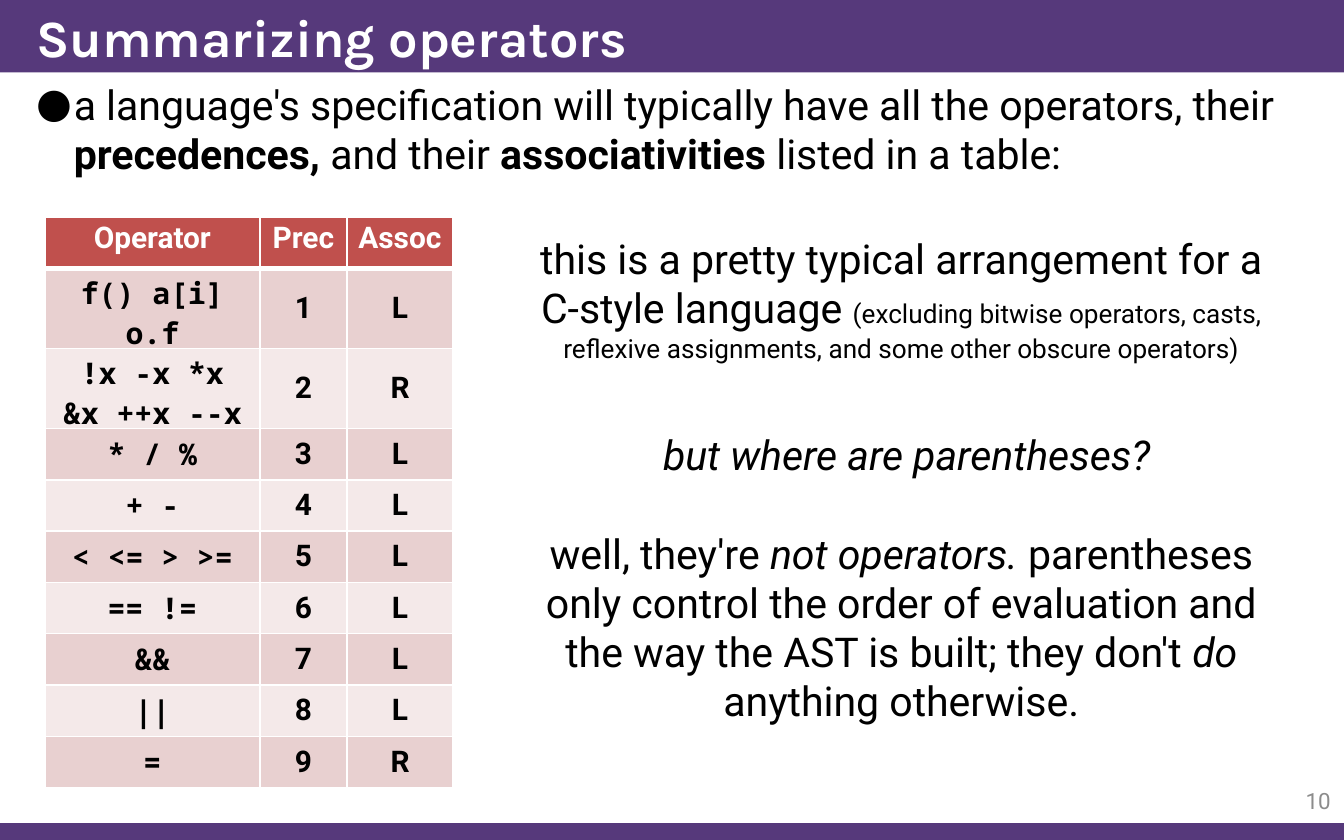
from dataclasses import dataclass

from lxml.etree import SubElement
from pptx import Presentation
from pptx.dml.color import RGBColor
from pptx.enum.shapes import MSO_SHAPE
from pptx.enum.text import MSO_ANCHOR, MSO_AUTO_SIZE, PP_ALIGN
from pptx.oxml.ns import qn
from pptx.util import Cm, Pt


@dataclass(frozen=True)
class Theme:
    sans: str = "Roboto"
    head: str = "Karla"
    mono: str = "Noto Sans Mono"
    bar: str = "56397B"
    ink: str = "000000"
    white: str = "FFFFFF"
    gray: str = "8C8C8C"
    red: str = "C0504D"
    bands: tuple = ("E8D0D0", "F4E9E9")
    title: int = 28
    body: int = 22
    cell: int = 16
    small: int = 14
    foot: int = 12


T = Theme()
WIDE, HIGH = 25.4, 15.88
LEFT, BAR = 0.43, 1.37

HEADS = ("Operator", "Prec", "Assoc")
# Operators from tightest to loosest, with associativity
LEVELS = (
    ("f() a[i] o.f", "L"),
    ("!x -x *x &x ++x --x", "R"),
    ("* / %", "L"),
    ("+ -", "L"),
    ("< <= > >=", "L"),
    ("== !=", "L"),
    ("&&", "L"),
    ("||", "L"),
    ("=", "R"),
)


def style(run, size=T.body, face=T.sans, color=T.ink, bold=False, italic=False):
    font = run.font
    font.size, font.name = Pt(size), face
    font.bold, font.italic = bold, italic
    font.color.rgb = RGBColor.from_string(color)


def write(para, parts, align=PP_ALIGN.LEFT):
    """Fill a paragraph with (text, style options) pairs."""
    para.alignment = align
    para.space_before = Pt(0)
    for text, look in parts:
        run = para.add_run()
        run.text = text
        style(run, **look)


def place(shape, x, y, w, h):
    shape.left, shape.top, shape.width, shape.height = map(Cm, (x, y, w, h))


def add_bar(slide, y, h):
    bar = slide.shapes.add_shape(MSO_SHAPE.RECTANGLE, Cm(0), Cm(y), Cm(WIDE), Cm(h))
    bar.shadow.inherit = False
    bar.fill.solid()
    bar.fill.fore_color.rgb = RGBColor.from_string(T.bar)
    bar.line.fill.background()
    # Send behind the placeholders
    slide.shapes._spTree.insert(2, bar._element)


def fill_holder(holder, box, parts, anchor):
    place(holder, *box)
    frame = holder.text_frame
    frame.auto_size = MSO_AUTO_SIZE.NONE
    frame.vertical_anchor = anchor
    write(frame.paragraphs[0], parts)
    return frame.paragraphs[0]


def add_bullet(para, mark, indent):
    props = para._p.get_or_add_pPr()
    props.set("marL", str(Cm(indent)))
    props.set("indent", str(-Cm(indent)))
    SubElement(props, qn("a:buFont"), typeface=T.sans)
    SubElement(props, qn("a:buChar"), char=mark)


def add_note(slide, box, parts, align=PP_ALIGN.CENTER, anchor=MSO_ANCHOR.TOP):
    frame = slide.shapes.add_textbox(*map(Cm, box)).text_frame
    frame.word_wrap = True
    frame.vertical_anchor = anchor
    write(frame.paragraphs[0], parts, align)


def add_edges(cell, base):
    props = cell._tc.get_or_add_tcPr()
    for side in "LRTB":
        width = base if side == "B" else 1
        line = SubElement(props, qn(f"a:ln{side}"), w=str(Pt(width)))
        fill = SubElement(line, qn("a:solidFill"))
        SubElement(fill, qn("a:srgbClr"), val=T.white)


def fill_cell(cell, text, fill, anchor, edge, **look):
    cell.margin_left = cell.margin_right = Cm(0.18)
    cell.margin_top = cell.margin_bottom = Cm(0.08)
    cell.vertical_anchor = anchor
    add_edges(cell, edge)
    cell.fill.solid()
    cell.fill.fore_color.rgb = RGBColor.from_string(fill)
    write(cell.text_frame.paragraphs[0],
          [(text, dict(size=T.cell, bold=True, **look))], PP_ALIGN.CENTER)


def add_grid(slide, x, y, widths, step):
    count = len(LEVELS) + 1
    table = slide.shapes.add_table(count, len(widths), Cm(x), Cm(y),
                                   Cm(sum(widths)), Cm(step * count)).table
    for col, width in zip(table.columns, widths):
        col.width = Cm(width)
    for row in table.rows:
        row.height = Cm(step)
    for c, text in enumerate(HEADS):
        fill_cell(table.cell(0, c), text, T.red, MSO_ANCHOR.TOP, 3, color=T.white)
    for r, (ops, side) in enumerate(LEVELS, 1):
        band = T.bands[(r - 1) % 2]
        for c, text in enumerate((ops, str(r), side)):
            fill_cell(table.cell(r, c), text, band, MSO_ANCHOR.MIDDLE, 1,
                      face=T.sans if c else T.mono)


def main():
    deck = Presentation()
    deck.slide_width, deck.slide_height = Cm(WIDE), Cm(HIGH)
    slide = deck.slides.add_slide(deck.slide_layouts[1])
    plain, bold, slant = {}, {"bold": True}, {"italic": True}

    # Bars, title and lead bullet
    add_bar(slide, 0, BAR)
    add_bar(slide, 15.56, 0.32)
    fill_holder(slide.shapes.title, (LEFT, 0, WIDE - LEFT, BAR),
                [("Summarizing operators",
                  dict(size=T.title, face=T.head, color=T.white, bold=True))],
                MSO_ANCHOR.MIDDLE)
    lead = fill_holder(slide.placeholders[1], (LEFT, BAR, WIDE - LEFT, 2.34), [
        ("a language's specification will typically have all the operators, their ", plain),
        ("precedences, ", bold),
        ("and their ", plain),
        ("associativities ", bold),
        ("listed in a table:", plain),
    ], MSO_ANCHOR.TOP)
    add_bullet(lead, "●", 0.71)

    # Slide number
    add_note(slide, (23.5, 14.71, 1.9, 0.84),
             [("10", dict(size=T.foot, color=T.gray))],
             PP_ALIGN.RIGHT, MSO_ANCHOR.MIDDLE)

    # Operator table
    add_grid(slide, 0.85, 4.1, (4.06, 1.65, 2.0), 0.97)

    # Remarks beside the table
    add_note(slide, (9.63, 4.29, 14.81, 2.74), [
        ("this is a pretty typical arrangement for a C-style language ", plain),
        ("(excluding bitwise operators, casts, reflexive assignments, "
         "and some other obscure operators)", {"size": T.small}),
    ])
    add_note(slide, (9.73, 8.0, 14.81, 1.19), [("but where are parentheses?", slant)])
    add_note(slide, (9.63, 9.86, 14.81, 4.01), [
        ("well, they're ", plain),
        ("not operators. ", slant),
        ("parentheses only control the order of evaluation and "
         "the way the AST is built; they don't ", plain),
        ("do ", slant),
        ("anything otherwise.", plain),
    ])
    deck.save("out.pptx")


if __name__ == "__main__":
    main()
